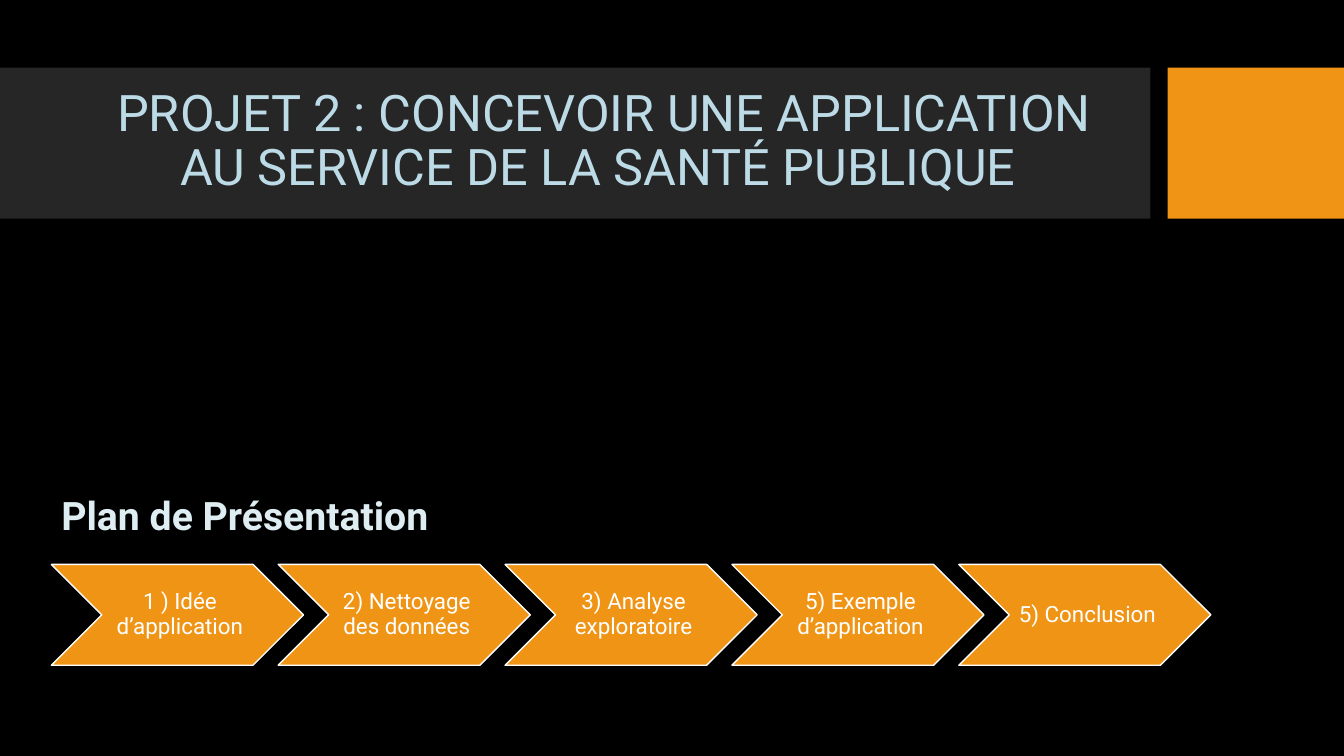
from pptx import Presentation
from pptx.dml.color import RGBColor
from pptx.enum.shapes import MSO_SHAPE
from pptx.enum.text import MSO_ANCHOR, MSO_AUTO_SIZE, PP_ALIGN
from pptx.util import Inches, Pt

TITLE = "PROJET 2 : CONCEVOIR UNE APPLICATION AU SERVICE DE LA SANTÉ PUBLIQUE "
HEADING = "Plan de Présentation"
STEPS = [
    "1 ) Idée d’application",
    "2) Nettoyage des données",
    "3) Analyse exploratoire",
    "5) Exemple d’application",
    "5) Conclusion",
]

FONT = "Roboto"
BLACK, GREY, ORANGE, WHITE = "000000", "262626", "F09415", "FFFFFF"
TITLE_BLUE, HEADING_BLUE = "BDDBE6", "DEEDF2"

BAND_TOP, BAND_H = 0.67, 1.5
BANDS = [(0, 11.41, GREY), (11.58, 1.75, ORANGE)]  # left, width, colour
STEP_LEFT, STEP_TOP, STEP_W, STEP_H, STEP_PITCH = 0.51, 5.6, 2.5, 1, 2.25


def rgb(color):
    return RGBColor.from_string(color)


def box(left, top, width, height):
    return [Inches(v) for v in (left, top, width, height)]


def add_filled(slide, kind, place, color):
    s = slide.shapes.add_shape(kind, *box(*place))
    s.shadow.inherit = False
    s.fill.solid()
    s.fill.fore_color.rgb = rgb(color)
    s.line.fill.background()
    return s


def write(s, text, size, color, anchor, align, bold=False):
    tf = s.text_frame
    tf.text = text
    tf.word_wrap = True
    tf.auto_size = MSO_AUTO_SIZE.NONE
    tf.vertical_anchor = anchor
    p = tf.paragraphs[0]
    p.alignment = align
    p.line_spacing = 0.9
    font = p.runs[0].font
    font.name, font.size, font.bold = FONT, Pt(size), bold
    font.color.rgb = rgb(color)
    return tf


def add_title(slide):
    """Fill the title placeholder and bring it in front of the bands."""
    s = slide.shapes.title
    s.left, s.top, s.width, s.height = box(0.74, 0.82, 10.51, 1.18)
    write(s, TITLE, 36, TITLE_BLUE, MSO_ANCHOR.MIDDLE, PP_ALIGN.CENTER)
    slide.shapes.element.append(s.element)


def add_step(slide, i, text):
    place = (STEP_LEFT + i * STEP_PITCH, STEP_TOP, STEP_W, STEP_H)
    s = add_filled(slide, MSO_SHAPE.CHEVRON, place, ORANGE)
    s.line.color.rgb = rgb(WHITE)
    s.line.width = Pt(1)
    tf = write(s, text, 16, WHITE, MSO_ANCHOR.MIDDLE, PP_ALIGN.CENTER)
    tf.margin_left = Inches(0.07)
    tf.margin_top = tf.margin_right = tf.margin_bottom = Inches(0.02)


def main():
    prs = Presentation()
    prs.slide_width, prs.slide_height = Inches(13.33), Inches(7.5)
    slide = prs.slides.add_slide(prs.slide_layouts[5])
    slide.background.fill.solid()
    slide.background.fill.fore_color.rgb = rgb(BLACK)

    for left, width, color in BANDS:
        add_filled(slide, MSO_SHAPE.RECTANGLE, (left, BAND_TOP, width, BAND_H), color)
    add_title(slide)

    heading = slide.shapes.add_textbox(*box(0.51, 4.64, 4.89, 0.76))
    write(heading, HEADING, 28, HEADING_BLUE, MSO_ANCHOR.BOTTOM, PP_ALIGN.LEFT, bold=True)

    for i, text in enumerate(STEPS):
        add_step(slide, i, text)
    prs.save("out.pptx")


if __name__ == "__main__":
    main()
